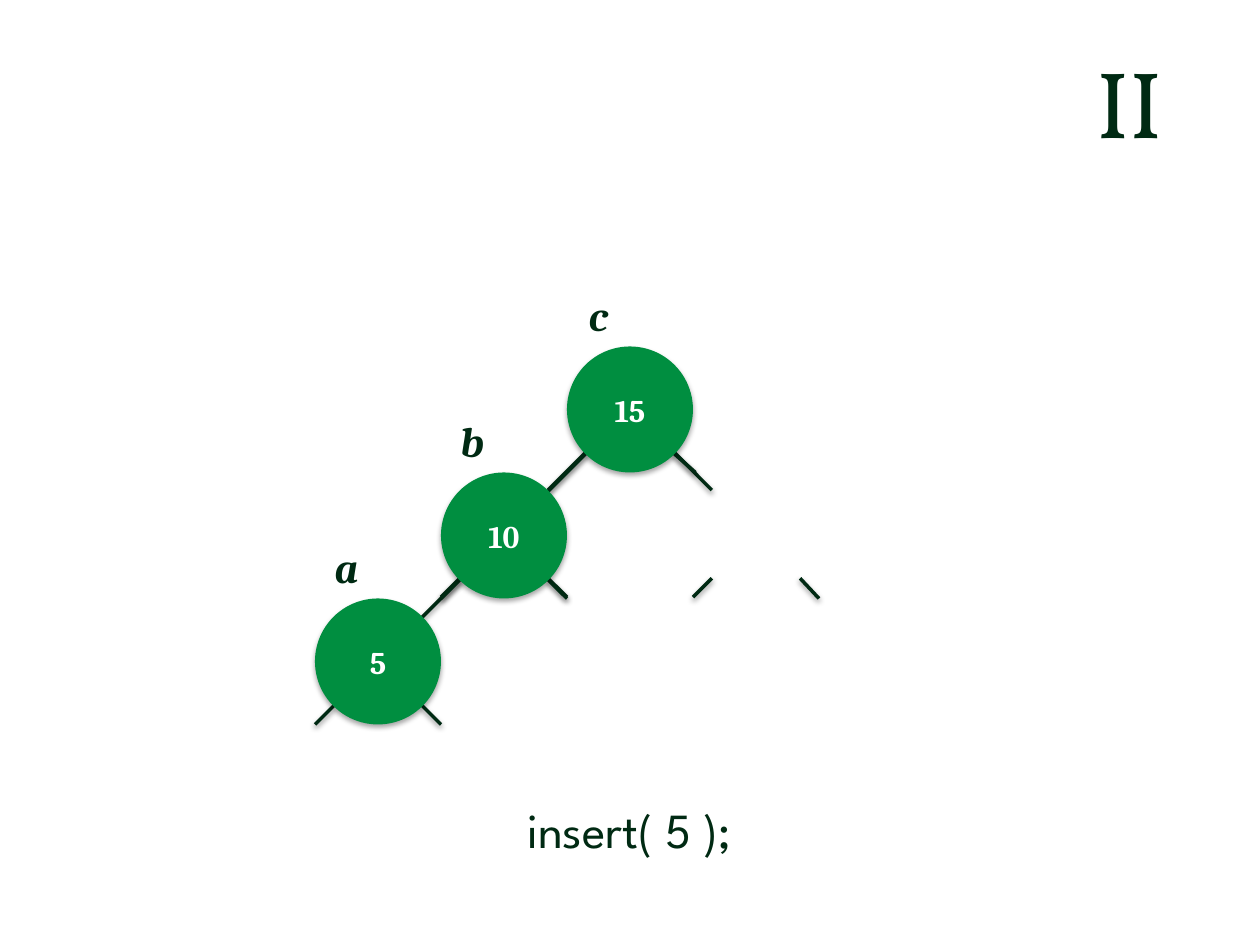
import pptx
import pptx.dml.color
import pptx.enum.shapes
import pptx.enum.text
import pptx.oxml
import pptx.oxml.ns
import pptx.util
from pptx.util import Inches

COLORS = {"ink": "002A13", "node": "008E40", "white": "FFFFFF", "shadow": "000000"}
NODE_SIZE = 1
LABEL_SIZE = 0.5

# Label, value, left and top of each node
NODES = [("c", "15", 4.5, 2.75), ("b", "10", 3.5, 3.75), ("a", "5", 2.5, 4.75)]

# Start x, start y, run and drop of each branch
BRANCHES = [
    (4.35, 4.59, 0.15, 0.15),
    (5.35, 3.59, 0.3, 0.3),
    (4.65, 3.59, -0.3, 0.3),
    (5.65, 4.59, -0.15, 0.15),
    (6.35, 4.59, 0.15, 0.16),
    (3.65, 4.59, -0.15, 0.15),
    (3.65, 4.6, -0.3, 0.3),
    (4.35, 4.6, 0.15, 0.15),
    (4.65, 3.6, -0.3, 0.3),
    (5.35, 3.6, 0.17, 0.15),
    (3.65, 4.6, -0.15, 0.15),
    (3.35, 5.6, 0.15, 0.15),
    (2.65, 5.6, -0.15, 0.15),
]


def color(name):
    return pptx.dml.color.RGBColor.from_string(COLORS[name])


def add_shadow(item, distance, opacity):
    """Give the item a soft shadow straight below it; its line must be set first."""
    item._element.spPr.append(pptx.oxml.parse_xml(
        f'<a:effectLst {pptx.oxml.ns.nsdecls("a")}>'
        f'<a:outerShdw blurRad="{pptx.util.Pt(3.1)}" dist="{pptx.util.Pt(distance)}" '
        f'dir="5400000" rotWithShape="0"><a:srgbClr val="{COLORS["shadow"]}">'
        f'<a:alpha val="{opacity * 1000}"/></a:srgbClr></a:outerShdw></a:effectLst>'))


def add_branch(page, x, y, run, drop):
    branch = page.shapes.add_connector(
        pptx.enum.shapes.MSO_CONNECTOR.STRAIGHT,
        Inches(x), Inches(y), Inches(x + run), Inches(y + drop))
    branch.line.color.rgb = color("ink")
    branch.line.width = pptx.util.Pt(2)
    add_shadow(branch, 1.6, 38)


def write(shape, text, font, size, ink="ink", bold=False, italic=False,
          align=pptx.enum.text.PP_ALIGN.CENTER):
    frame = shape.text_frame
    frame.word_wrap = True
    frame.vertical_anchor = pptx.enum.text.MSO_ANCHOR.MIDDLE
    para = frame.paragraphs[0]
    para.text = text
    para.alignment = align
    para.font.name = font
    para.font.size = pptx.util.Pt(size)
    para.font.bold = bold
    para.font.italic = italic
    para.font.color.rgb = color(ink)


def add_text(page, bounds, text, font, size, **style):
    box = page.shapes.add_textbox(*map(Inches, bounds))
    write(box, text, font, size, **style)


def add_node(page, label, value, left, top):
    node = page.shapes.add_shape(
        pptx.enum.shapes.MSO_SHAPE.OVAL,
        Inches(left), Inches(top), Inches(NODE_SIZE), Inches(NODE_SIZE))
    node.fill.solid()
    node.fill.fore_color.rgb = color("node")
    node.line.fill.background()
    add_shadow(node, 1.8, 35)
    write(node, value, "Cambria", 18, ink="white", bold=True)
    add_text(page, (left, top - LABEL_SIZE, LABEL_SIZE, LABEL_SIZE),
             label, "Cambria", 24, bold=True, italic=True)


def add_command(page, text):
    box = page.shapes.add_shape(
        pptx.enum.shapes.MSO_SHAPE.RECTANGLE,
        Inches(2.12), Inches(6.33), Inches(5.75), Inches(0.5))
    box.shadow.inherit = False
    box.fill.solid()
    box.fill.fore_color.rgb = color("white")
    box.line.color.rgb = color("white")
    box.line.width = pptx.util.Pt(2)
    write(box, text, "League Spartan", 28)


def main():
    deck = pptx.Presentation()
    deck.slide_width, deck.slide_height = Inches(10), Inches(7.5)
    page = deck.slides.add_slide(deck.slide_layouts[6])

    add_text(page, (0, -0.08, 9.33, 1.75), "II", "Vollkorn", 54,
             align=pptx.enum.text.PP_ALIGN.RIGHT)
    for branch in BRANCHES:
        add_branch(page, *branch)
    for node in NODES:
        add_node(page, *node)
    add_command(page, "insert( 5 );")

    deck.save("out.pptx")


if __name__ == "__main__":
    main()
